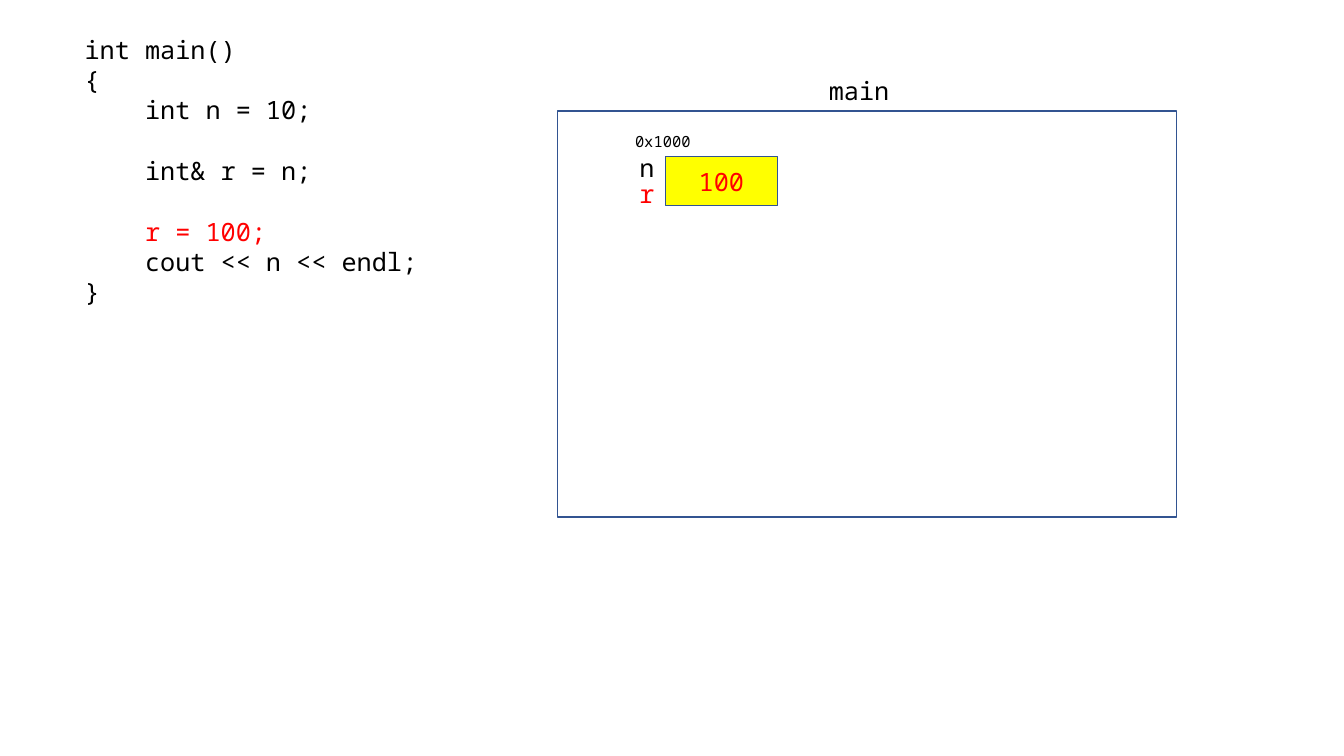
import pptx
import pptx.util
import pptx.dml.color
import pptx.enum.shapes
import pptx.enum.text

FONT = "Noto Sans Mono"
COLORS = {"text": "000000", "accent": "FF0000", "frame": "FFFFFF",
          "cell": "FFFF00", "line": "325491"}
CODE_SIZE, ADDRESS_SIZE = 18, 11
INDENT = 4 * 0.6 * CODE_SIZE  # four characters, in points
LINE_HEIGHT = 21.8  # points

# text, indent level, empty lines above, colour
CODE = [
    ("int main()", 0, 0, "text"),
    ("{", 0, 0, "text"),
    ("int n = 10;", 1, 0, "text"),
    ("int& r = n;", 1, 1, "text"),
    ("r = 100;", 1, 1, "accent"),
    ("cout << n << endl;", 1, 0, "text"),
    ("}", 0, 0, "text"),
]
ALIGN = pptx.enum.text.PP_ALIGN
CODE_BOX = (0.74, 0.29, 6.67, 2.83)
FRAME_BOX = (5.53, 1.1, 6.14, 4.03)
CELL_BOX = (6.6, 1.55, 1.11, 0.49)
# text, box, size, alignment, colour
LABELS = [
    ("main", (7.87, 0.7, 1.3, 0.4), CODE_SIZE, ALIGN.CENTER, "text"),
    ("n", (6.02, 1.46, 0.57, 0.4), CODE_SIZE, ALIGN.RIGHT, "text"),
    ("0x1000", (6.2, 1.26, 0.8, 0.29), ADDRESS_SIZE, ALIGN.LEFT, "text"),
    ("r", (6.02, 1.72, 0.57, 0.4), CODE_SIZE, ALIGN.RIGHT, "accent"),
]


def rgb(name):
    """Return the named colour."""
    return pptx.dml.color.RGBColor.from_string(COLORS[name])


def inches(box):
    """Convert a box in inches to lengths."""
    return [pptx.util.Inches(v) for v in box]


def style(p, size, color, align=ALIGN.LEFT):
    """Format a paragraph and its runs."""
    p.alignment = align
    for r in p.runs:
        r.font.name = FONT
        r.font.size = pptx.util.Pt(size)
        r.font.color.rgb = rgb(color)


def add_text(slide, text, box):
    """Add a wrapping text box and return its text frame."""
    tf = slide.shapes.add_textbox(*inches(box)).text_frame
    tf.word_wrap = True
    tf.text = text
    return tf


def add_box(slide, box, fill):
    """Add an outlined rectangle."""
    sp = slide.shapes.add_shape(pptx.enum.shapes.MSO_SHAPE.RECTANGLE, *inches(box))
    sp.shadow.inherit = False
    sp.fill.solid()
    sp.fill.fore_color.rgb = rgb(fill)
    sp.line.color.rgb = rgb("line")
    sp.line.width = pptx.util.Pt(1)
    return sp


def add_code(slide):
    """Add the listing, with indents and gaps as paragraph settings."""
    tf = add_text(slide, "\n".join(line[0] for line in CODE), CODE_BOX)
    for p, (_, level, gap, color) in zip(tf.paragraphs, CODE):
        style(p, CODE_SIZE, color)
        p.space_before = pptx.util.Pt(gap * LINE_HEIGHT)
        pPr = p._p.get_or_add_pPr()
        pPr.set("marL", str(int(pptx.util.Pt(level * INDENT))))
        pPr.set("indent", "0")


prs = pptx.Presentation()
prs.slide_width, prs.slide_height = inches((13.33, 7.5))
slide = prs.slides.add_slide(prs.slide_layouts[6])

add_code(slide)
add_box(slide, FRAME_BOX, "frame")
cell = add_box(slide, CELL_BOX, "cell")
cell.text_frame.text = "100"
cell.text_frame.vertical_anchor = pptx.enum.text.MSO_ANCHOR.MIDDLE
style(cell.text_frame.paragraphs[0], CODE_SIZE, "accent", ALIGN.CENTER)
for text, box, size, align, color in LABELS:
    tf = add_text(slide, text, box)
    style(tf.paragraphs[0], size, color, align)

prs.save("out.pptx")
